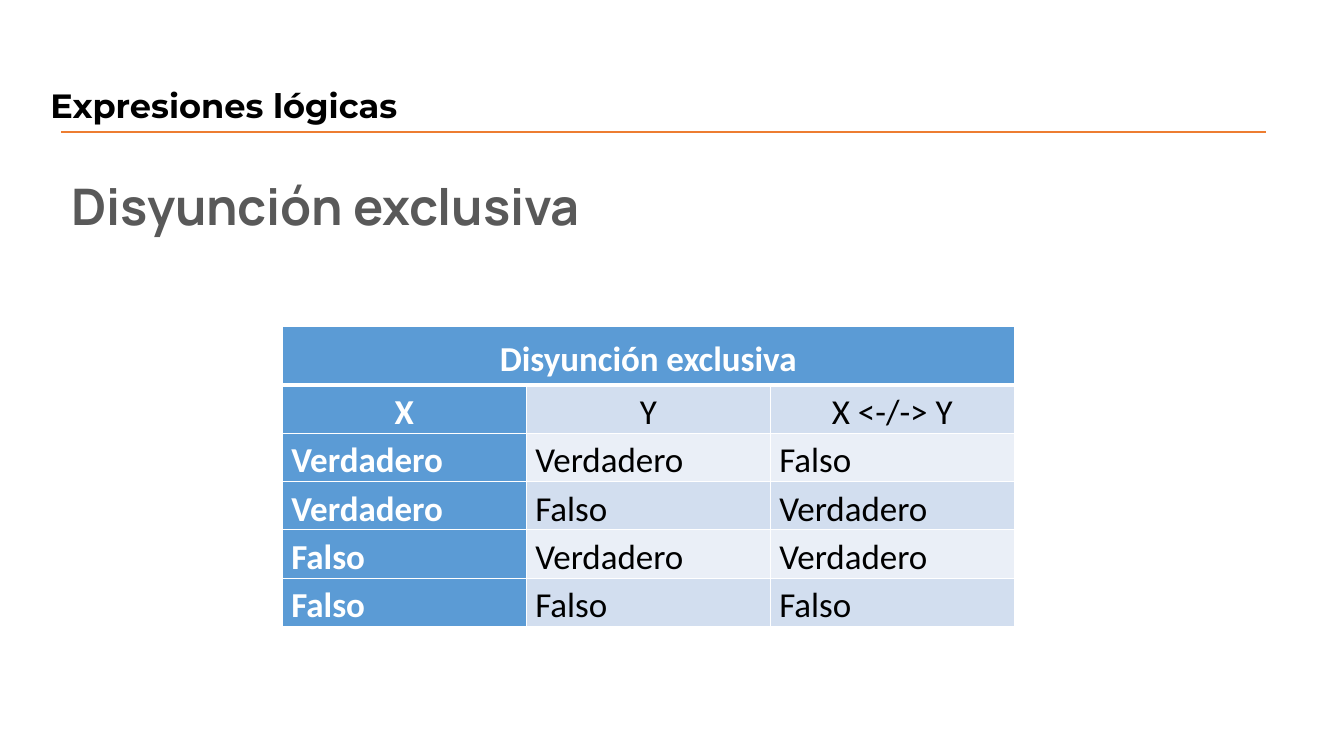
from dataclasses import dataclass

import lxml.etree
import pptx
import pptx.dml.color
import pptx.enum.shapes
import pptx.enum.text
import pptx.oxml.ns
import pptx.slide
import pptx.table
import pptx.util

Inches = pptx.util.Inches
Pt = pptx.util.Pt
RGBColor = pptx.dml.color.RGBColor
Align = pptx.enum.text.PP_ALIGN
qn = pptx.oxml.ns.qn

BLACK = RGBColor(0x00, 0x00, 0x00)
WHITE = RGBColor(0xFF, 0xFF, 0xFF)
GRAY = RGBColor(0x59, 0x59, 0x59)
ORANGE = RGBColor(0xED, 0x7D, 0x31)
BLUE = RGBColor(0x5B, 0x9B, 0xD5)
BAND_DARK = RGBColor(0xD2, 0xDE, 0xEF)
BAND_LIGHT = RGBColor(0xEA, 0xEF, 0xF7)

TRUTH_TABLE = [
    ("Disyunción exclusiva", "", ""),
    ("X", "Y", "X <-/-> Y"),
    ("Verdadero", "Verdadero", "Falso"),
    ("Verdadero", "Falso", "Verdadero"),
    ("Falso", "Verdadero", "Verdadero"),
    ("Falso", "Falso", "Falso"),
]
COLUMN_WIDTH = 2.42
HEADER_HEIGHT = 0.56
ROW_HEIGHT = 0.44


@dataclass(frozen=True)
class Heading:
    text: str
    left: float
    top: float
    width: float
    height: float
    font_name: str
    size: int
    color: RGBColor


HEADINGS = [
    Heading("Expresiones lógicas", 0.4, 0.79, 7.31, 0.77, "Montserrat", 24, BLACK),
    Heading("Disyunción exclusiva", 0.61, 1.69, 8.24, 0.87, "Manrope", 36, GRAY),
]


def style_paragraph(paragraph, font_name: str, size: int, color: RGBColor, bold: bool) -> None:
    font = paragraph.font
    font.name = font_name
    font.size = Pt(size)
    font.bold = bold
    font.color.rgb = color


def add_heading(slide: pptx.slide.Slide, heading: Heading) -> None:
    box = slide.shapes.add_textbox(
        Inches(heading.left), Inches(heading.top), Inches(heading.width), Inches(heading.height)
    )
    box.text_frame.word_wrap = True
    paragraph = box.text_frame.paragraphs[0]
    paragraph.text = heading.text
    style_paragraph(paragraph, heading.font_name, heading.size, heading.color, True)


def add_rule(slide: pptx.slide.Slide) -> None:
    """Draw the orange line under the slide title."""
    rule = slide.shapes.add_connector(
        pptx.enum.shapes.MSO_CONNECTOR.STRAIGHT,
        Inches(0.61), Inches(1.31), Inches(12.56), Inches(1.31),
    )
    rule.line.color.rgb = ORANGE
    rule.line.width = Pt(1.5)
    lxml.etree.SubElement(rule._element.spPr, qn("a:effectLst"))


def set_borders(cell: pptx.table._Cell, top: float, bottom: float) -> None:
    """Give a cell white borders; the side borders are 1 point wide."""
    properties = cell._tc.get_or_add_tcPr()
    widths = {"a:lnL": 1, "a:lnR": 1, "a:lnT": top, "a:lnB": bottom}
    for position, (tag, width) in enumerate(widths.items()):
        line = lxml.etree.Element(qn(tag), w=str(Pt(width)))
        fill = lxml.etree.SubElement(line, qn("a:solidFill"))
        lxml.etree.SubElement(fill, qn("a:srgbClr"), val=str(WHITE))
        properties.insert(position, line)


def format_cell(cell: pptx.table._Cell, row: int, column: int, text: str) -> None:
    is_heading = row == 0 or column == 0
    band = BAND_DARK if row % 2 else BAND_LIGHT
    cell.fill.solid()
    cell.fill.fore_color.rgb = BLUE if is_heading else band
    cell.margin_left = cell.margin_right = Inches(0.1 if row == 0 else 0.09)
    cell.margin_top = cell.margin_bottom = Inches(0.05 if row == 0 else 0)
    set_borders(cell, top=3 if row == 1 else 1, bottom=3 if row == 0 else 1)

    paragraph = cell.text_frame.paragraphs[0]
    paragraph.text = text
    paragraph.alignment = Align.CENTER if row < 2 else Align.JUSTIFY
    paragraph.line_spacing = 1.15
    style_paragraph(paragraph, "Calibri", 25, WHITE if is_heading else BLACK, is_heading)


def add_truth_table(slide: pptx.slide.Slide) -> None:
    row_count, column_count = len(TRUTH_TABLE), len(TRUTH_TABLE[0])
    table = slide.shapes.add_table(
        row_count, column_count, Inches(2.8), Inches(3.24),
        Inches(column_count * COLUMN_WIDTH),
        Inches(HEADER_HEIGHT + (row_count - 1) * ROW_HEIGHT),
    ).table
    table.first_row = False
    table.horz_banding = False
    for column in table.columns:
        column.width = Inches(COLUMN_WIDTH)
    for row, texts in enumerate(TRUTH_TABLE):
        table.rows[row].height = Inches(ROW_HEIGHT if row else HEADER_HEIGHT)
        for column, text in enumerate(texts):
            format_cell(table.cell(row, column), row, column, text)
    table.cell(0, 0).merge(table.cell(0, column_count - 1))


def main() -> None:
    presentation = pptx.Presentation()
    presentation.slide_width = Inches(13.33)
    presentation.slide_height = Inches(7.5)
    slide = presentation.slides.add_slide(presentation.slide_layouts[6])
    for heading in HEADINGS:
        add_heading(slide, heading)
    add_rule(slide)
    add_truth_table(slide)
    presentation.save("out.pptx")


if __name__ == "__main__":
    main()
